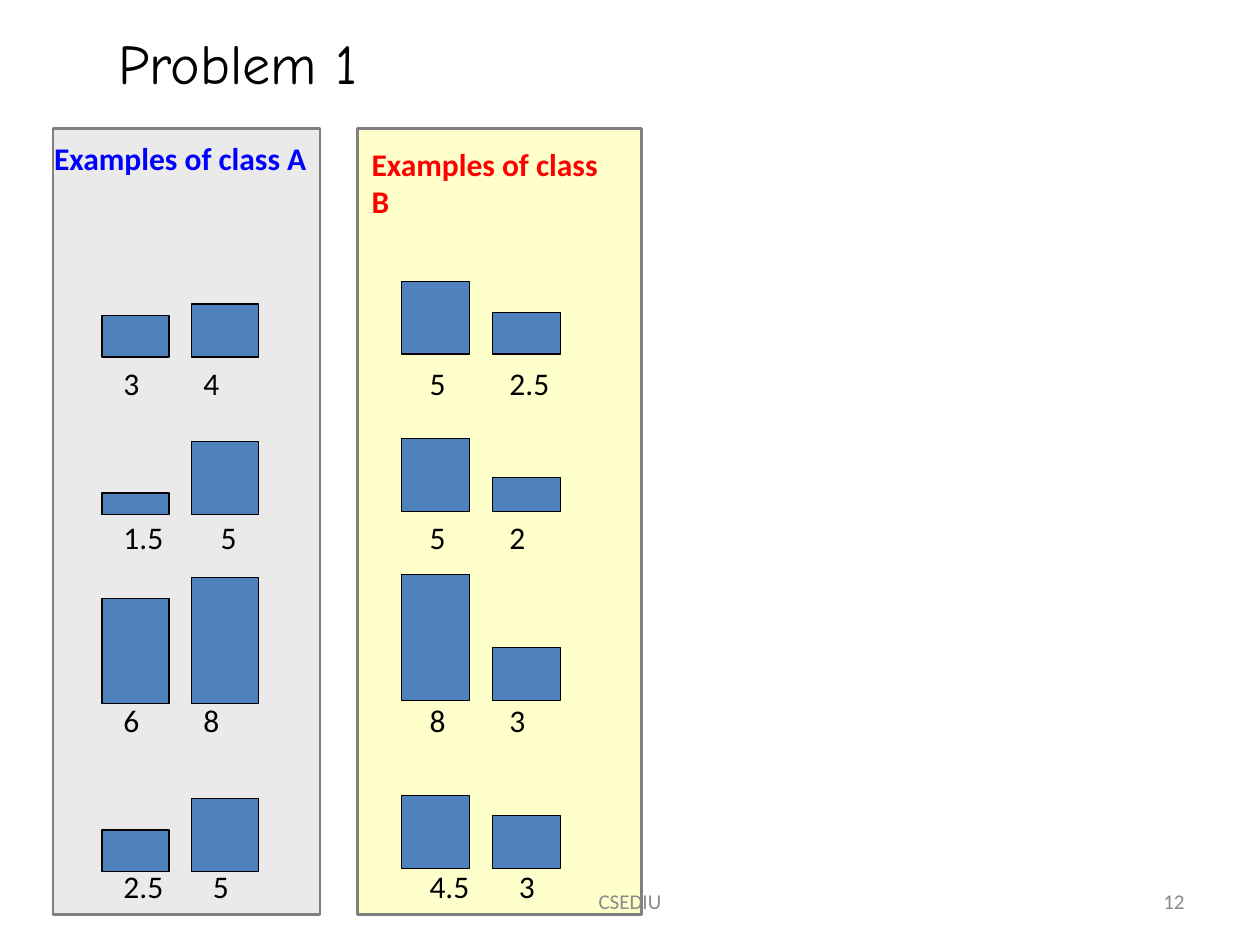
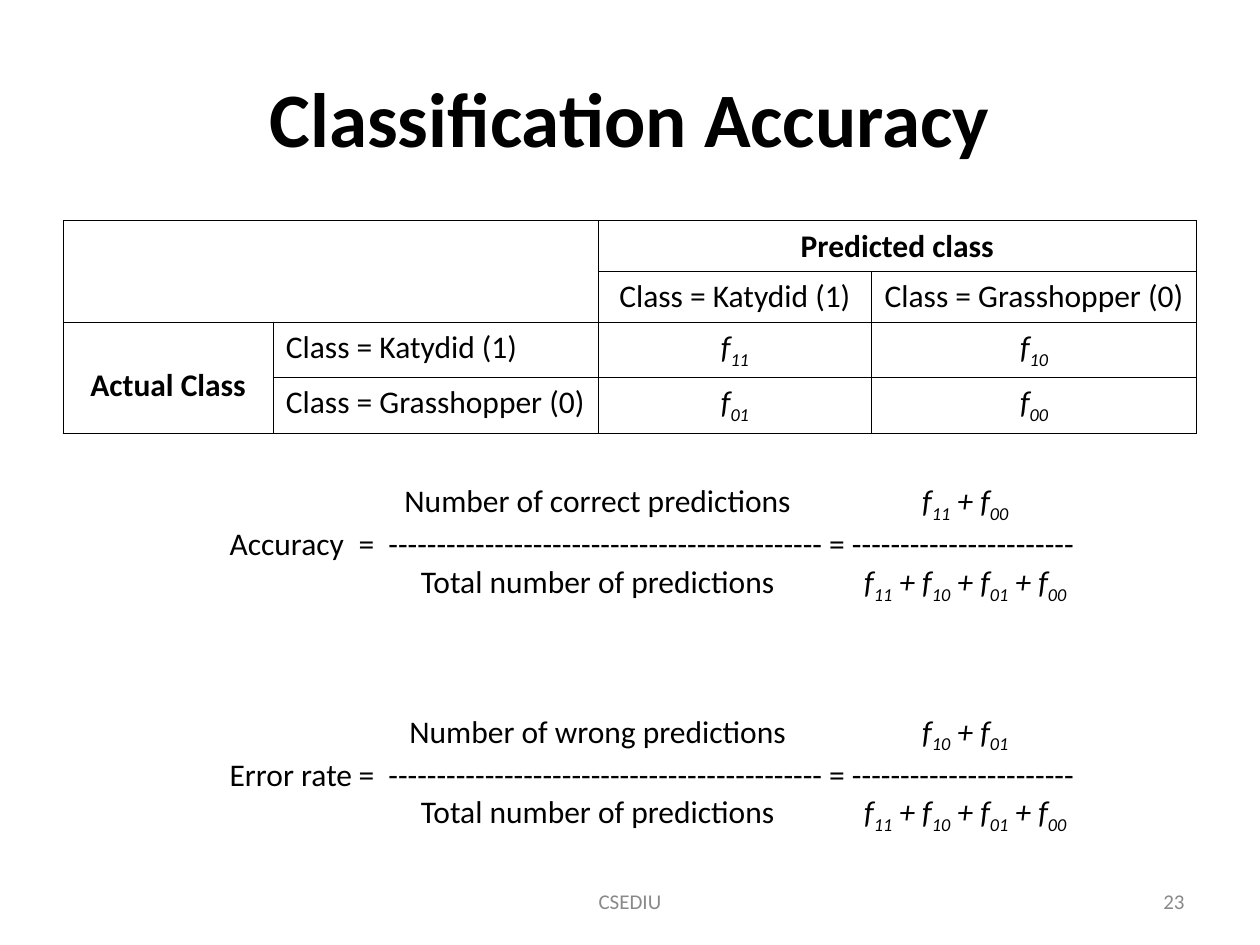
from lxml import etree
from pptx import Presentation
from pptx.dml.color import RGBColor
from pptx.enum.shapes import MSO_SHAPE
from pptx.enum.text import MSO_ANCHOR, PP_ALIGN
from pptx.oxml.ns import qn
from pptx.util import Cm, Pt

RECTANGLE = MSO_SHAPE.RECTANGLE
TOP, MIDDLE = MSO_ANCHOR.TOP, MSO_ANCHOR.MIDDLE
LEFT, CENTER, RIGHT = PP_ALIGN.LEFT, PP_ALIGN.CENTER, PP_ALIGN.RIGHT
color = RGBColor.from_string

BLACK, GRAY, FOOTER_GRAY, BLUE = "000000", "808080", "898989", "4F81BD"
BODY_FONT, PROBLEM_FONT = "Calibri", "Comic Neue"
BODY_SIZE = 18


def write(paragraph, text, formula="", stops=(), align=LEFT, size=BODY_SIZE,
          ink=BLACK, bold=False, font=BODY_FONT):
    """Write plain text, then an italic formula in which _ starts a two-digit subscript."""
    paragraph.alignment = align
    if stops:
        tab_list = etree.SubElement(paragraph._p.get_or_add_pPr(), qn("a:tabLst"))
        for position, kind in stops:
            etree.SubElement(tab_list, qn("a:tab"), pos=str(Cm(position)), algn=kind)
    paragraph.font.name = font
    paragraph.font.size = Pt(size)
    paragraph.font.bold = bold
    paragraph.font.color.rgb = color(ink)
    if text:
        paragraph.add_run().text = text
    first, *rest = formula.split("_")
    pieces = [(first, False)]
    for part in rest:
        pieces += [(part[:2], True), (part[2:], False)]
    for piece, is_subscript in pieces:
        if piece:
            run = paragraph.add_run()
            run.text = piece
            run.font.italic = True
            if is_subscript:
                run._r.get_or_add_rPr().set("baseline", "-25000")


def add_text(shapes, box, lines, anchor=TOP, **style):
    """Add a text box; each line is a (text, formula, tab stops) tuple."""
    frame = shapes.add_textbox(*map(Cm, box)).text_frame
    frame.word_wrap = True
    frame.vertical_anchor = anchor
    for index, line in enumerate(lines):
        paragraph = frame.add_paragraph() if index else frame.paragraphs[0]
        write(paragraph, *line, **style)


prs = Presentation()
prs.slide_width, prs.slide_height = Cm(25.4), Cm(19.05)
blank = prs.slide_layouts[6]
problem, accuracy = (prs.slides.add_slide(blank) for _ in range(2))

# Slide 1: bar pairs of two classes
# Each example: two labels, two bar heights, distance between the labels
class_a = [("3", "4", 0.84, 1.07, 1.61), ("1.5", "5", 0.43, 1.47, 1.96),
           ("6", "8", 2.11, 2.54, 1.61), ("2.5", "5", 0.84, 1.47, 1.8)]
class_b = [("5", "2.5", 1.47, 0.84, 1.61), ("5", "2", 1.47, 0.69, 1.61),
           ("8", "3", 2.54, 1.07, 1.61), ("4.5", "3", 1.47, 1.07, 1.8)]
baselines = [7.2, 10.37, 14.18, 17.57]
label_tops = [7.21, 10.31, 14.01, 17.35]

# Panel left and width, fill, heading, its box and colour, bar lefts, bar width,
# rise of the bars, label left, examples
panels = [
    (1.07, 5.38, "EAEAEA", "Examples of class A", (0.84, 2.67, 6.1, 1.02), "0000FF",
     (2.06, 3.86), 1.35, 0, 2.24, class_a),
    (7.21, 5.72, "FFFFCC", "Examples of class B", (7.24, 2.79, 5.56, 1.78), "FF0000",
     (8.1, 9.93), 1.37, 0.06, 8.41, class_b),
]
for (left, width, fill, heading, heading_box, heading_ink,
     bar_lefts, bar_width, rise, label_left, examples) in panels:
    shapes = problem.shapes.add_group_shape().shapes
    rectangles = [(left, 2.59, width, 15.85, fill, GRAY, 1.5)]
    for example, baseline in zip(examples, baselines):
        for bar_left, height in zip(bar_lefts, example[2:4]):
            rectangles.append((bar_left, baseline - rise - height, bar_width, height,
                               BLUE, BLACK, 0.75))
    for *box, inside, outline, weight in rectangles:
        rectangle = shapes.add_shape(RECTANGLE, *map(Cm, box))
        rectangle.shadow.inherit = False
        rectangle.fill.solid()
        rectangle.fill.fore_color.rgb = color(inside)
        rectangle.line.color.rgb = color(outline)
        rectangle.line.width = Pt(weight)
    add_text(shapes, heading_box, [(heading,)], ink=heading_ink, bold=True)
    for (first, second, _, _, gap), top in zip(examples, label_tops):
        add_text(shapes, (label_left, top, 2.92, 1.02),
                 [(f"{first}\t{second}", "", [(gap, "l")])])

add_text(problem.shapes, (2.13, 0.46, 5.6, 1.63), [("Problem 1",)],
         size=32, font=PROBLEM_FONT)

# Slide 2: confusion matrix and the two measures
add_text(accuracy.shapes, (1.27, 0.76, 22.86, 3.18), [("Classification Accuracy",)],
         anchor=MIDDLE, align=CENTER, size=44, bold=True)

column_widths = [4.24, 6.55, 5.51, 6.55]
row_heights = [1.02, 1.02, 1.12, 1.12]
table = accuracy.shapes.add_table(4, 4, Cm(1.27), Cm(4.45), Cm(sum(column_widths)),
                                  Cm(sum(row_heights))).table
table.first_row = table.horz_banding = False
for column, width in zip(table.columns, column_widths):
    column.width = Cm(width)
for row, height in zip(table.rows, row_heights):
    row.height = Cm(height)
for start, end in [((0, 0), (1, 1)), ((0, 2), (0, 3)), ((2, 0), (3, 0))]:
    table.cell(*start).merge(table.cell(*end))

katydid, grasshopper = "Class = Katydid (1)", "Class = Grasshopper (0)"
matrix = [["", "", "Predicted class", ""],
          ["", "", katydid, grasshopper],
          ["Actual Class", katydid, "f_11", "f_10"],
          ["", grasshopper, "f_01", "f_00"]]
for row, texts in enumerate(matrix):
    for column, text in enumerate(texts):
        cell = table.cell(row, column)
        properties = cell._tc.get_or_add_tcPr()
        for side in ("a:lnL", "a:lnR", "a:lnT", "a:lnB"):
            border = etree.SubElement(properties, qn(side), w=str(Pt(0.45)))
            paint = etree.SubElement(border, qn("a:solidFill"))
            etree.SubElement(paint, qn("a:srgbClr"), val=BLACK)
        cell.fill.background()
        is_formula = text.startswith("f_")
        write(cell.text_frame.paragraphs[0], "" if is_formula else text,
              text if is_formula else "", align=LEFT if column == 1 else CENTER,
              bold=text in ("Predicted class", "Actual Class"))
table.cell(2, 0).margin_top = Cm(0.9)

fraction_stops = [(7.42, "ctr"), (14.83, "ctr")]
bar_stops = [(2.6, "l"), (3.2, "l")]
fraction_bars = "-" * 45 + " = " + "-" * 23
measures = [("Accuracy", "correct", "f_11 + f_00", 9.58),
            ("Error rate", "wrong", "f_10 + f_01", 14.22)]
for measure, outcome, numerator, top in measures:
    add_text(accuracy.shapes, (4.38, top, 17.55, 3.0), [
        (f"\tNumber of {outcome} predictions\t", numerator, fraction_stops),
        (f"{measure}\t=\t{fraction_bars}", "", bar_stops),
        ("\tTotal number of predictions\t", "f_11 + f_10 + f_01 + f_00", fraction_stops),
    ])

# Footers
for slide, number in [(problem, "12"), (accuracy, "23")]:
    for box, text, align in [((18.2, 17.65, 5.93, 1.02), number, RIGHT),
                             ((8.68, 17.65, 8.04, 1.02), "CSEDIU", CENTER)]:
        add_text(slide.shapes, box, [(text,)], anchor=MIDDLE, align=align,
                 size=12, ink=FOOTER_GRAY)

prs.save("out.pptx")
